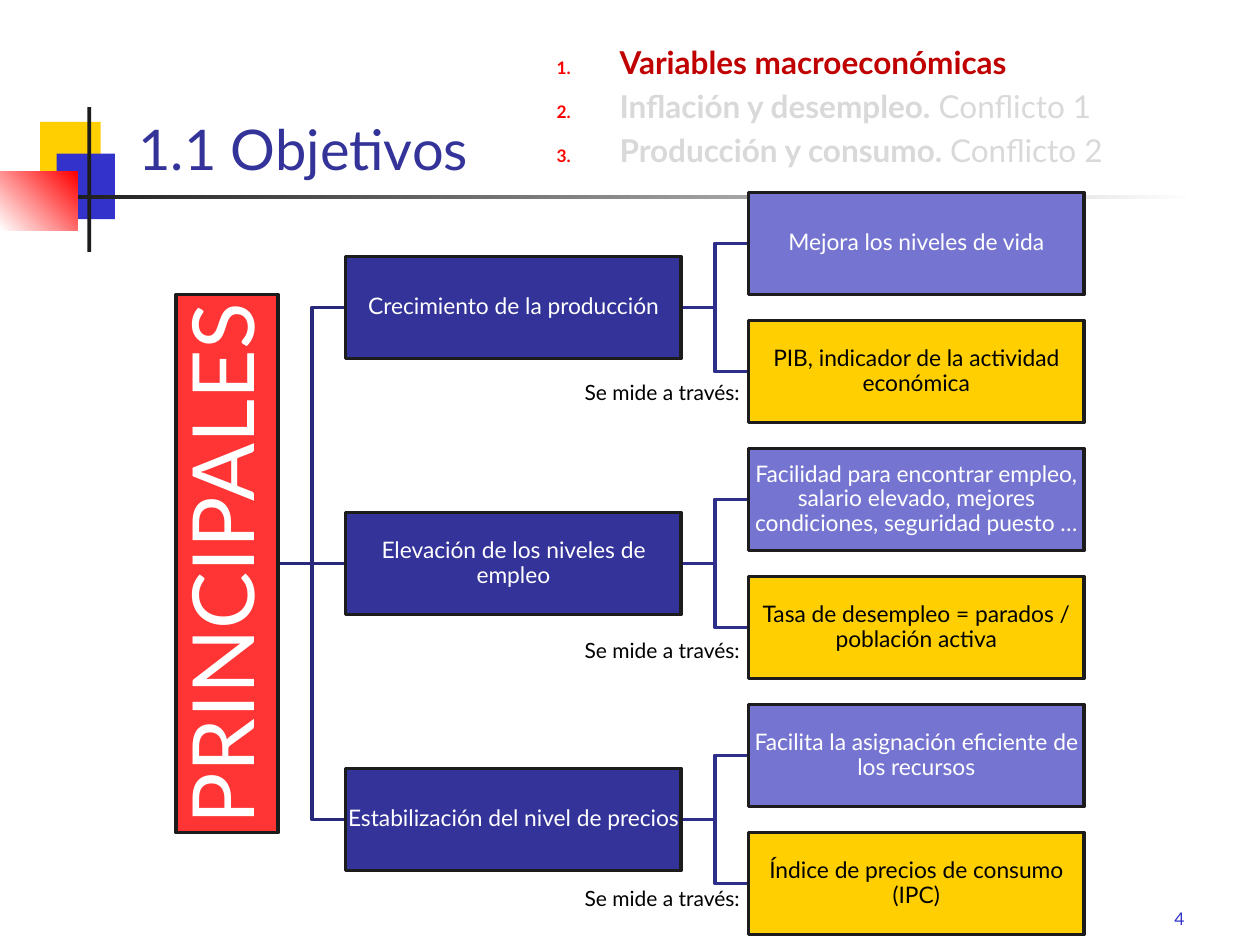
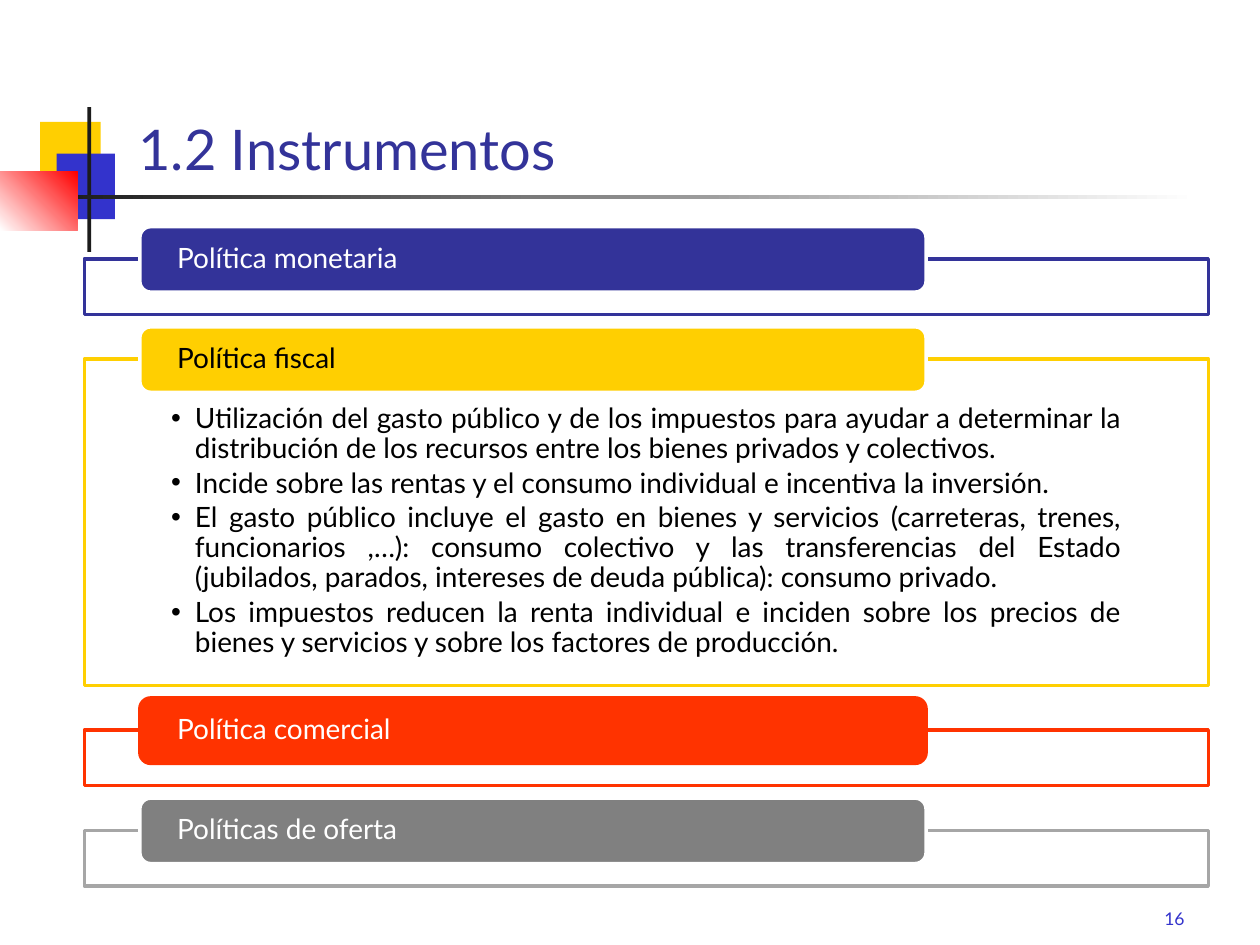
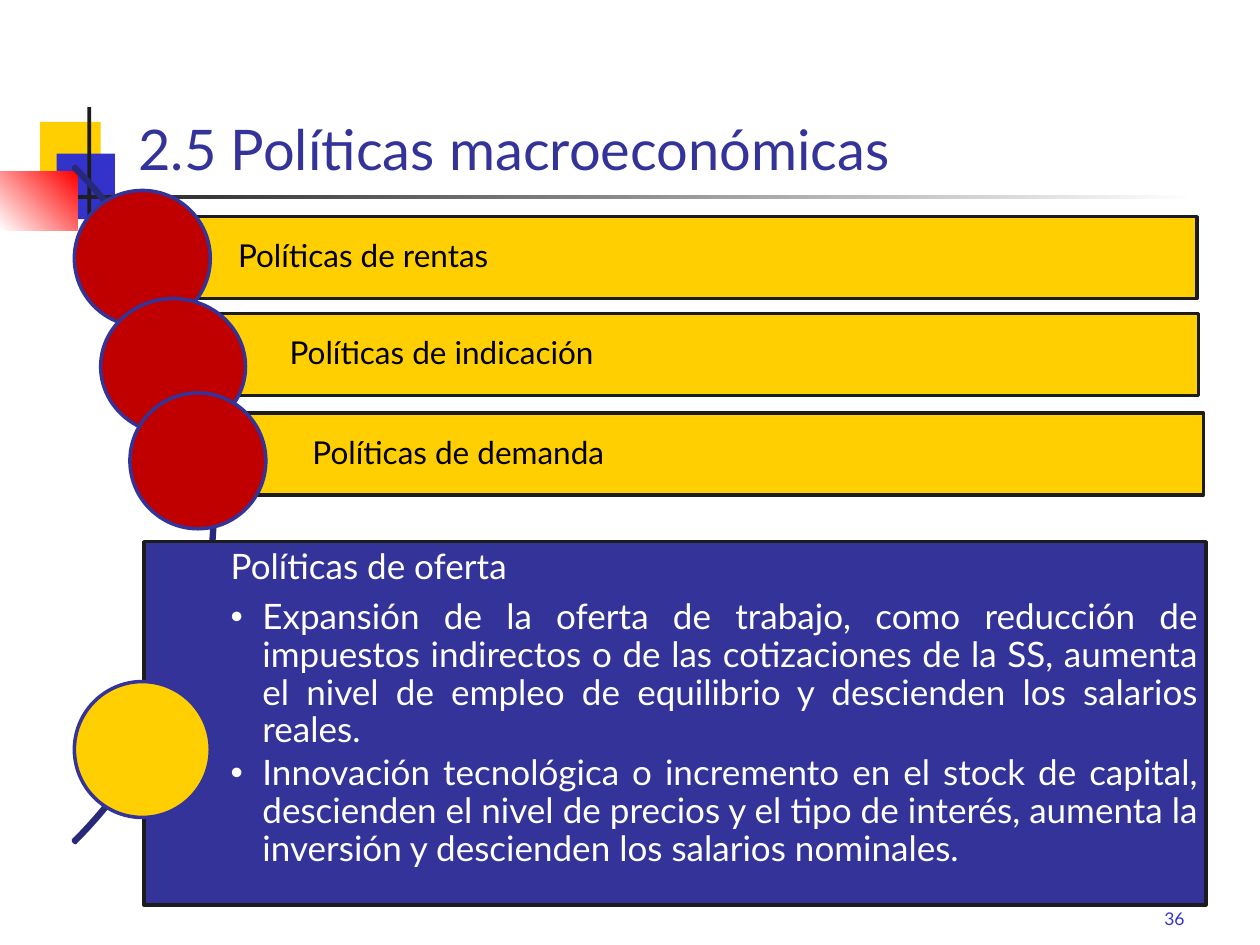
from dataclasses import dataclass
from typing import Any, Optional

from lxml.etree import SubElement
from pptx import Presentation
from pptx.dml.color import RGBColor
from pptx.enum.shapes import MSO_CONNECTOR, MSO_SHAPE
from pptx.enum.text import MSO_ANCHOR, MSO_AUTO_SIZE, PP_ALIGN
from pptx.oxml.ns import qn
from pptx.util import Cm, Pt

# Shared look
FONT = "Lato"
COLORS = {
    "white": "FFFFFF", "black": "000000", "ink": "1C1C1C",
    "navy": "333399", "blue": "3333CC", "lilac": "7575D1",
    "branch": "2E2E8B", "trunk": "29297B", "yellow": "FFCF01",
    "red": "FF0000", "coral": "FF3434", "orange": "FF3300",
    "crimson": "C00000", "faded": "D9D9D9", "gray": "808080", "silver": "A6A6A6",
}
LINE_WIDTH = Pt(2)
TITLE_AND_BODY = 1


@dataclass
class Box:
    left: float
    top: float
    width: float
    height: float

    @property
    def right(self) -> float:
        return self.left + self.width

    @property
    def middle(self) -> float:
        return self.top + self.height / 2

    def lengths(self) -> tuple:
        return Cm(self.left), Cm(self.top), Cm(self.width), Cm(self.height)


@dataclass
class Run:
    text: str
    color: str = "black"
    bold: bool = False


@dataclass
class TextLine:
    runs: list[Run]
    size: float
    alignment: Any = PP_ALIGN.LEFT
    spacing: float = 0.9
    before: float = 0
    after: float = 0
    bullet: str = ""          # "", "dot" or "number"
    margin: float = 0
    hanging: float = 0


@dataclass
class Policy:
    name: str
    fill: str
    outline: str
    frame: str
    text_color: str = "white"
    height: float = 1.12


@dataclass
class Bar:
    name: str
    box: Box
    circle: Box


@dataclass
class Goal:
    name: str
    benefit: str
    measure: str
    note_top: float


def rgb(name: str) -> RGBColor:
    return RGBColor.from_string(COLORS[name])


def apply_formats(target: Any, formats: dict) -> None:
    for name, value in formats.items():
        setattr(target, name, value)


# Drawing helpers
def paint(shape: Any, fill: Optional[str], line: Optional[str]) -> None:
    if fill:
        shape.fill.solid()
        shape.fill.fore_color.rgb = rgb(fill)
    else:
        shape.fill.background()
    if line:
        shape.line.color.rgb = rgb(line)
        shape.line.width = LINE_WIDTH
    else:
        shape.line.fill.background()


def set_bullet(paragraph: Any, line: TextLine) -> None:
    properties = paragraph._p.get_or_add_pPr()
    properties.set("marL", str(Cm(line.margin)))
    properties.set("indent", str(Cm(-line.hanging)))
    if line.bullet == "number":
        color = SubElement(properties, qn("a:buClr"))
        SubElement(color, qn("a:srgbClr"), val=COLORS["red"])
        SubElement(properties, qn("a:buSzPct"), val="55000")
        SubElement(properties, qn("a:buAutoNum"), type="arabicPeriod")
    elif line.bullet == "dot":
        SubElement(properties, qn("a:buChar"), char="•")
    else:
        SubElement(properties, qn("a:buNone"))


def write(shape: Any, lines: list[TextLine], anchor: Any = MSO_ANCHOR.MIDDLE,
          insets: tuple = (0.25, 0.13, 0.25, 0.13)) -> None:
    frame = shape.text_frame
    left, top, right, bottom = map(Cm, insets)
    apply_formats(frame, {
        "word_wrap": True, "auto_size": MSO_AUTO_SIZE.NONE, "vertical_anchor": anchor,
        "margin_left": left, "margin_top": top,
        "margin_right": right, "margin_bottom": bottom,
    })
    for index, line in enumerate(lines):
        paragraph = frame.add_paragraph() if index else frame.paragraphs[0]
        set_bullet(paragraph, line)
        apply_formats(paragraph, {
            "alignment": line.alignment, "line_spacing": line.spacing,
            "space_before": Pt(line.before if index else 0),
            "space_after": Pt(line.after),
        })
        for part in line.runs:
            run = paragraph.add_run()
            run.text = part.text
            apply_formats(run.font, {"name": FONT, "size": Pt(line.size), "bold": part.bold})
            run.font.color.rgb = rgb(part.color)


def add_box(slide: Any, box: Box, fill: Optional[str], line: Optional[str] = None,
            kind: Any = MSO_SHAPE.RECTANGLE) -> Any:
    shape = slide.shapes.add_shape(kind, *box.lengths())
    shape.shadow.inherit = False
    paint(shape, fill, line)
    return shape


def add_gradient(slide: Any, box: Box, colors: tuple, angle: float) -> None:
    fill = add_box(slide, box, None).fill
    fill.gradient()
    fill.gradient_angle = angle
    for stop, position, color in zip(fill.gradient_stops, (0, 1), colors):
        stop.position = position
        stop.color.rgb = rgb(color)


def add_note(slide: Any, box: Box, line: TextLine, anchor: Any = MSO_ANCHOR.TOP) -> None:
    write(slide.shapes.add_textbox(*box.lengths()), [line], anchor)


def add_branch(slide: Any, start: tuple, end: tuple, color: str) -> None:
    level = abs(start[1] - end[1]) < 0.01
    kind = MSO_CONNECTOR.STRAIGHT if level else MSO_CONNECTOR.ELBOW
    connector = slide.shapes.add_connector(kind, *map(Cm, start + end))
    connector.line.color.rgb = rgb(color)
    connector.line.width = LINE_WIDTH
    SubElement(connector._element.spPr, qn("a:effectLst"))


def place_body(slide: Any, box: Box) -> Any:
    """Move the body placeholder to its place, in front of what is drawn so far."""
    body = slide.placeholders[1]
    left, top, width, height = box.lengths()
    apply_formats(body, {"left": left, "top": top, "width": width, "height": height})
    slide.shapes._spTree.append(body._element)
    return body


def add_base_slide(presentation: Any, title: str, number: int) -> Any:
    slide = presentation.slides.add_slide(presentation.slide_layouts[TITLE_AND_BODY])
    # Corner ornament and fading rule
    add_box(slide, Box(0.81, 2.46, 1.22, 1.32), "yellow")
    add_box(slide, Box(1.14, 3.1, 1.18, 1.32), "blue")
    add_box(slide, Box(1.76, 2.16, 0.08, 2.92), "ink")
    add_gradient(slide, Box(1.27, 3.94, 22.86, 0.08), ("ink", "white"), 0)
    add_gradient(slide, Box(0, 3.46, 1.56, 1.18), ("white", "red"), 45)
    # Page number and title
    add_note(slide, Box(18.85, 17.58, 5.28, 1.27),
             TextLine([Run(str(number), "blue")], 10, PP_ALIGN.RIGHT, 1), MSO_ANCHOR.BOTTOM)
    heading = slide.shapes.title
    left, top, width, height = Box(2.54, 0.84, 21.59, 2.97).lengths()
    apply_formats(heading, {"left": left, "top": top, "width": width, "height": height})
    write(heading, [TextLine([Run(title, "navy")], 32)], MSO_ANCHOR.BOTTOM)
    return slide


# Slide: goals tree
GOALS = [
    Goal("Crecimiento de la producción", "Mejora los niveles de vida",
         "PIB, indicador de la actividad económica", 7.52),
    Goal("Elevación de los niveles de empleo",
         "Facilidad para encontrar empleo, salario elevado, mejores condiciones, "
         "seguridad puesto …",
         "Tasa de desempleo = parados / población activa", 12.73),
    Goal("Estabilización del nivel de precios",
         "Facilita la asignación eficiente de los recursos",
         "Índice de precios de consumo (IPC)", 17.73),
]
AGENDA = [
    [Run("Variables macroeconómicas", "crimson", True)],
    [Run("Inflación y desempleo.", "faded", True), Run(" Conflicto 1", "faded")],
    [Run("Producción y consumo. ", "faded", True), Run("Conflicto 2", "faded")],
]


def build_goals(presentation: Any) -> None:
    slide = add_base_slide(presentation, "1.1 Objetivos", 4)
    node_width, node_height = 6.76, 2.06
    leaf_top, leaf_step = 3.88, 2.58
    root_right, root_length = 5.61, 10.85

    goal_boxes = [Box(6.97, leaf_top + leaf_step * (2 * row + 0.5), node_width, node_height)
                  for row in range(len(GOALS))]
    leaf_boxes = [Box(15.09, leaf_top + leaf_step * row, node_width, node_height)
                  for row in range(2 * len(GOALS))]
    root_middle = goal_boxes[1].middle

    # Branches behind the boxes
    for row, goal_box in enumerate(goal_boxes):
        add_branch(slide, (root_right, root_middle), (goal_box.left, goal_box.middle), "trunk")
        for leaf in leaf_boxes[2 * row:2 * row + 2]:
            add_branch(slide, (goal_box.right, goal_box.middle), (leaf.left, leaf.middle),
                       "branch")

    # Root, turned to read upwards
    root_box = Box(root_right - (node_height + root_length) / 2,
                   root_middle - node_height / 2, root_length, node_height)
    root = add_box(slide, root_box, "coral", "ink")
    root.rotation = 270
    write(root, [TextLine([Run("PRINCIPALES", "white")], 49, PP_ALIGN.CENTER)],
          insets=(0.08,) * 4)

    # Goals with their benefit and measure
    for row, goal in enumerate(GOALS):
        nodes = [
            (goal.name, goal_boxes[row], "navy", "white"),
            (goal.benefit, leaf_boxes[2 * row], "lilac", "white"),
            (goal.measure, leaf_boxes[2 * row + 1], "yellow", "black"),
        ]
        for text, box, fill, color in nodes:
            write(add_box(slide, box, fill, "ink"),
                  [TextLine([Run(text, color)], 13, PP_ALIGN.CENTER)], insets=(0.02,) * 4)
        add_note(slide, Box(11.38, goal.note_top, 3.94, 0.76),
                 TextLine([Run("Se mide a través:")], 12, PP_ALIGN.CENTER, 1))

    # Agenda
    agenda = place_body(slide, Box(9.7, 0.74, 14.2, 3.2))
    write(agenda, [TextLine(runs, 18, PP_ALIGN.JUSTIFY, 1, before=3.6, bullet="number",
                            margin=2.54, hanging=1.27) for runs in AGENDA], MSO_ANCHOR.TOP)


# Slide: policy instruments
POLICIES = [
    Policy("Política monetaria", "navy", "white", "navy"),
    Policy("Política fiscal", "yellow", "white", "yellow", "black", 6.58),
    Policy("Política comercial", "orange", "orange", "orange"),
    Policy("Políticas de oferta", "gray", "white", "silver"),
]
FISCAL_POINTS = [
    "Utilización del gasto público y de los impuestos para ayudar a determinar la "
    "distribución de los recursos entre los bienes privados y colectivos.",
    "Incide sobre las rentas y el consumo individual e incentiva la inversión.",
    "El gasto público incluye el gasto en bienes y servicios (carreteras, trenes, "
    "funcionarios ,…): consumo colectivo y las transferencias del Estado (jubilados, "
    "parados, intereses de deuda pública): consumo privado.",
    "Los impuestos reducen la renta individual e inciden sobre los precios de bienes y "
    "servicios y sobre los factores de producción.",
]


def build_instruments(presentation: Any) -> None:
    slide = add_base_slide(presentation, "1.2 Instrumentos", 16)
    label_top, overlap, gap = 4.57, 0.65, 0.25
    for policy in POLICIES:
        frame_box = Box(1.7, label_top + overlap, 22.66, policy.height)
        if policy.name == "Política fiscal":
            body = place_body(slide, frame_box)
            paint(body, None, policy.frame)
            write(body, [TextLine([Run(point)], 16, PP_ALIGN.JUSTIFY, after=2.4, bullet="dot",
                                  margin=0.48, hanging=0.48) for point in FISCAL_POINTS],
                  MSO_ANCHOR.TOP, (1.75, 0.91, 1.75, 0.3))
        else:
            add_box(slide, frame_box, "white", policy.frame)
        label = add_box(slide, Box(2.82, label_top, 15.85, 1.32), policy.fill,
                        policy.outline, MSO_SHAPE.ROUNDED_RECTANGLE)
        write(label, [TextLine([Run(policy.name, policy.text_color)], 16)],
              insets=(0.69, 0, 0.69, 0))
        label_top = frame_box.top + frame_box.height + gap


# Slide: macroeconomic policies
BARS = [
    Bar("Políticas de rentas", Box(3.05, 4.37, 21.08, 1.65), Box(1.5, 3.84, 2.74, 2.74)),
    Bar("Políticas de indicación", Box(4.09, 6.32, 20.07, 1.65), Box(2.03, 6.02, 2.92, 2.74)),
    Bar("Políticas de demanda", Box(4.55, 8.33, 19.71, 1.65), Box(2.62, 7.92, 2.74, 2.74)),
]
SUPPLY_POINTS = [
    "Expansión de la oferta de trabajo, como reducción de impuestos indirectos o de las "
    "cotizaciones de la SS, aumenta el nivel de empleo de equilibrio y descienden los "
    "salarios reales.",
    "Innovación tecnológica o incremento en el stock de capital, descienden el nivel de "
    "precios y el tipo de interés, aumenta la inversión y descienden los salarios nominales.",
]


def build_policies(presentation: Any) -> None:
    slide = add_base_slide(presentation, "2.5 Políticas macroeconómicas", 36)
    arc = add_box(slide, Box(-14.94, 0.53, 19.28, 19.28), None, "trunk", MSO_SHAPE.BLOCK_ARC)
    for index, value in enumerate((189, 27, 0.003)):
        arc.adjustments[index] = value

    for bar in BARS:
        write(add_box(slide, bar.box, "yellow", "ink"), [TextLine([Run(bar.name)], 18)],
              insets=(1.75, 0.13, 0.13, 0.13))
        add_box(slide, bar.circle, "crimson", "navy", MSO_SHAPE.OVAL)

    # Supply policies
    body = place_body(slide, Box(2.9, 10.92, 21.41, 7.32))
    paint(body, "navy", "ink")
    heading = TextLine([Run("Políticas de oferta", "white")], 20, PP_ALIGN.JUSTIFY, after=7)
    points = [TextLine([Run(point, "white")], 20, PP_ALIGN.JUSTIFY, after=3, bullet="dot",
                       margin=0.64, hanging=0.64) for point in SUPPLY_POINTS]
    write(body, [heading, *points], MSO_ANCHOR.TOP, (1.75, 0.15, 0.15, 0.15))
    add_box(slide, Box(1.5, 13.74, 2.74, 2.74), "yellow", "navy", MSO_SHAPE.OVAL)


def main() -> None:
    presentation = Presentation()
    apply_formats(presentation, {"slide_width": Cm(25.4), "slide_height": Cm(19.05)})
    for build in (build_goals, build_instruments, build_policies):
        build(presentation)
    presentation.save("out.pptx")


if __name__ == "__main__":
    main()
